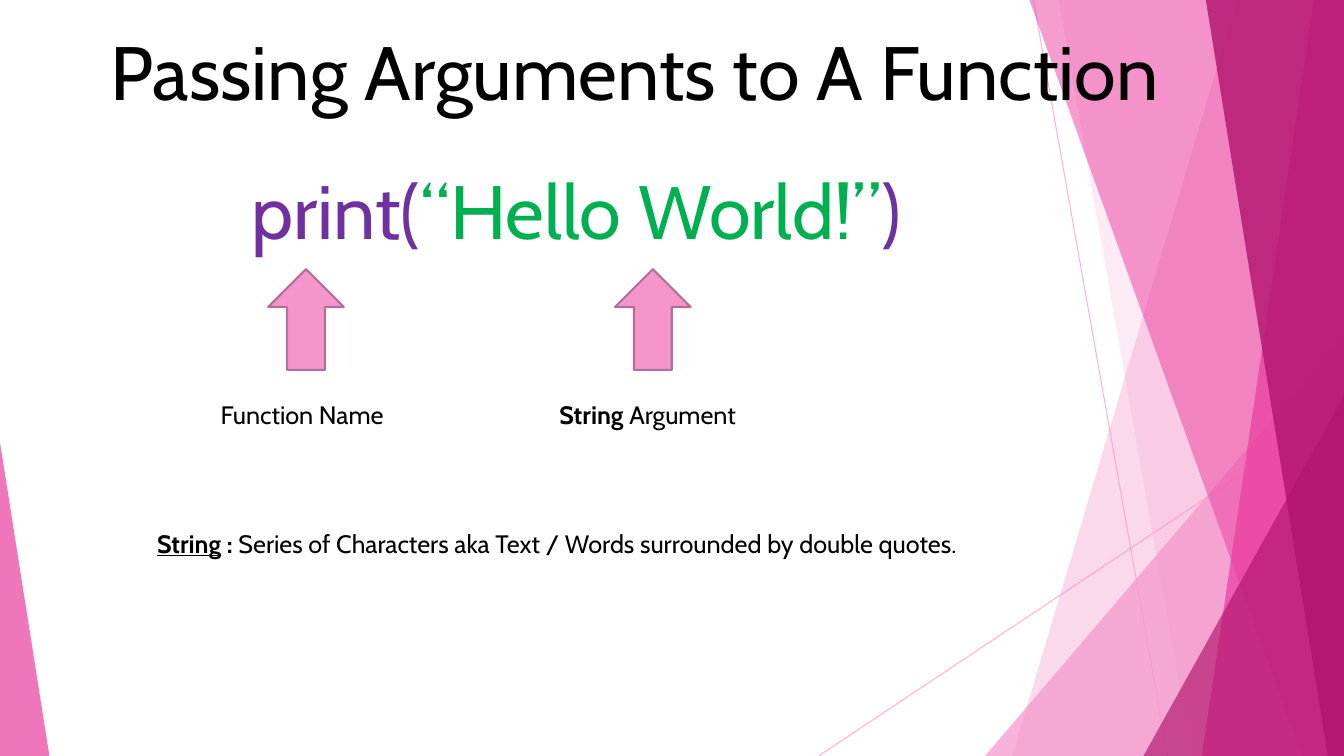
from dataclasses import dataclass

from lxml.etree import SubElement
from pptx import Presentation
from pptx.dml.color import RGBColor
from pptx.enum.shapes import MSO_CONNECTOR, MSO_SHAPE
from pptx.enum.text import MSO_ANCHOR, MSO_AUTO_SIZE, PP_ALIGN as ALIGN
from pptx.oxml.ns import qn
from pptx.util import Emu, Pt

PX = 9144  # EMU per px, 100 px to the inch
WIDTH, HEIGHT = 1333, 750
FONT = "Cabin"
COLORS = {
    "black": "000000",
    "purple": "7030A0",
    "green": "00B050",
    "light": "F496CB",
    "pink": "EB3D9F",
    "dark": "B2136D",
    "outline": "B56F96",
}


@dataclass
class Ray:
    """Thin line across the slide."""
    start: tuple[int, int]
    end: tuple[int, int]


@dataclass
class Band:
    """Full-height area from a slanted left edge to the right slide edge."""
    top_x: int
    bottom_x: int
    color: str
    alpha: int


@dataclass
class Wedge:
    """Right triangle standing on the bottom slide edge."""
    x: int
    y: int
    w: int
    apex: float
    color: str
    alpha: int


@dataclass
class Run:
    """Stretch of text in one format."""
    text: str
    color: str = "black"
    bold: bool = False
    underline: bool = False


@dataclass
class Text:
    box: tuple[int, int, int, int]
    runs: list[Run]
    size: int = 18
    align: ALIGN = ALIGN.LEFT


RAYS = [Ray((1025, 0), (1158, HEIGHT)), Ray((WIDTH, 403), (812, HEIGHT))]
FACETS = [
    Band(1227, 1004, "light", 36),
    Band(1050, 1182, "light", 20),
    Wedge(977, 333, 356, 1, "light", 72),
    Band(1021, 1291, "pink", 50),
    Band(1303, 1192, "pink", 70),
    Band(1196, 1317, "dark", 80),
    Wedge(1134, 393, 199, 1, "dark", 66),
    Wedge(0, 439, 49, 0, "pink", 70),
]
TITLE = Text((75, 20, 1109, 101), [Run("Passing Arguments to A Function")], 54, ALIGN.CENTER)
TEXTS = [
    Text((200, 158, 743, 101),
         [Run("print(", "purple"), Run("“Hello World!”", "green"), Run(")", "purple")],
         54, ALIGN.CENTER),
    Text((209, 391, 190, 40), [Run("Function Name")]),
    Text((545, 391, 205, 40), [Run("String", bold=True), Run(" Argument")]),
    Text((146, 519, 883, 40),
         [Run("String", bold=True, underline=True), Run(" : ", bold=True),
          Run("Series of Characters aka Text / Words surrounded by double quotes.")]),
]
ARROW_XS = [266, 610]


def px(*values: int) -> list[Emu]:
    return [Emu(v * PX) for v in values]


def rgb(name: str) -> RGBColor:
    return RGBColor.from_string(COLORS[name])


def set_alpha(shape, percent: int) -> None:
    color = next(shape.element.spPr.iter(qn("a:srgbClr")))
    SubElement(color, qn("a:alpha")).set("val", str(percent * 1000))


def draw_ray(s, ray: Ray) -> None:
    line = s.shapes.add_connector(MSO_CONNECTOR.STRAIGHT, *px(*ray.start, *ray.end))
    line.line.color.rgb = rgb("light")
    line.line.width = Pt(0.75)
    set_alpha(line, 70)
    SubElement(line.element.spPr, qn("a:effectLst"))


def draw_facet(s, facet: Band | Wedge) -> None:
    if isinstance(facet, Band):
        outline = s.shapes.build_freeform(facet.top_x, 0, scale=PX)
        outline.add_line_segments([(WIDTH, 0), (WIDTH, HEIGHT), (facet.bottom_x, HEIGHT)])
        sp = outline.convert_to_shape()
    else:
        sp = s.shapes.add_shape(MSO_SHAPE.ISOSCELES_TRIANGLE,
                                *px(facet.x, facet.y, facet.w, HEIGHT - facet.y))
        sp.adjustments[0] = facet.apex
    sp.shadow.inherit = False
    sp.fill.solid()
    sp.fill.fore_color.rgb = rgb(facet.color)
    set_alpha(sp, facet.alpha)
    sp.line.fill.background()


def draw_arrow(s, x: int) -> None:
    sp = s.shapes.add_shape(MSO_SHAPE.DOWN_ARROW, *px(x, 267, 75, 100))
    sp.rotation = 180
    sp.shadow.inherit = False
    sp.fill.solid()
    sp.fill.fore_color.rgb = rgb("light")
    sp.line.color.rgb = rgb("outline")
    sp.line.width = Pt(1.5)


def write_text(sp, text: Text) -> None:
    sp.left, sp.top, sp.width, sp.height = px(*text.box)
    tf = sp.text_frame
    tf.word_wrap = True
    tf.auto_size = MSO_AUTO_SIZE.NONE
    tf.vertical_anchor = MSO_ANCHOR.TOP
    p = tf.paragraphs[0]
    p.alignment = text.align
    for run in text.runs:
        r = p.add_run()
        r.text = run.text
        r.font.name = FONT
        r.font.size = Pt(text.size)
        r.font.bold = run.bold
        r.font.underline = run.underline
        r.font.color.rgb = rgb(run.color)


def main() -> None:
    prs = Presentation()
    prs.slide_width, prs.slide_height = px(WIDTH, HEIGHT)
    s = prs.slides.add_slide(prs.slide_layouts[5])

    # Faceted background
    for ray in RAYS:
        draw_ray(s, ray)
    for facet in FACETS:
        draw_facet(s, facet)

    # Title, raised above the facets
    title = s.shapes.title
    write_text(title, TITLE)
    title.element.getparent().append(title.element)

    # Code line, labels and definition
    for text in TEXTS:
        write_text(s.shapes.add_textbox(*px(*text.box)), text)

    # Arrows pointing up at the code
    for x in ARROW_XS:
        draw_arrow(s, x)

    prs.save("out.pptx")


if __name__ == "__main__":
    main()
